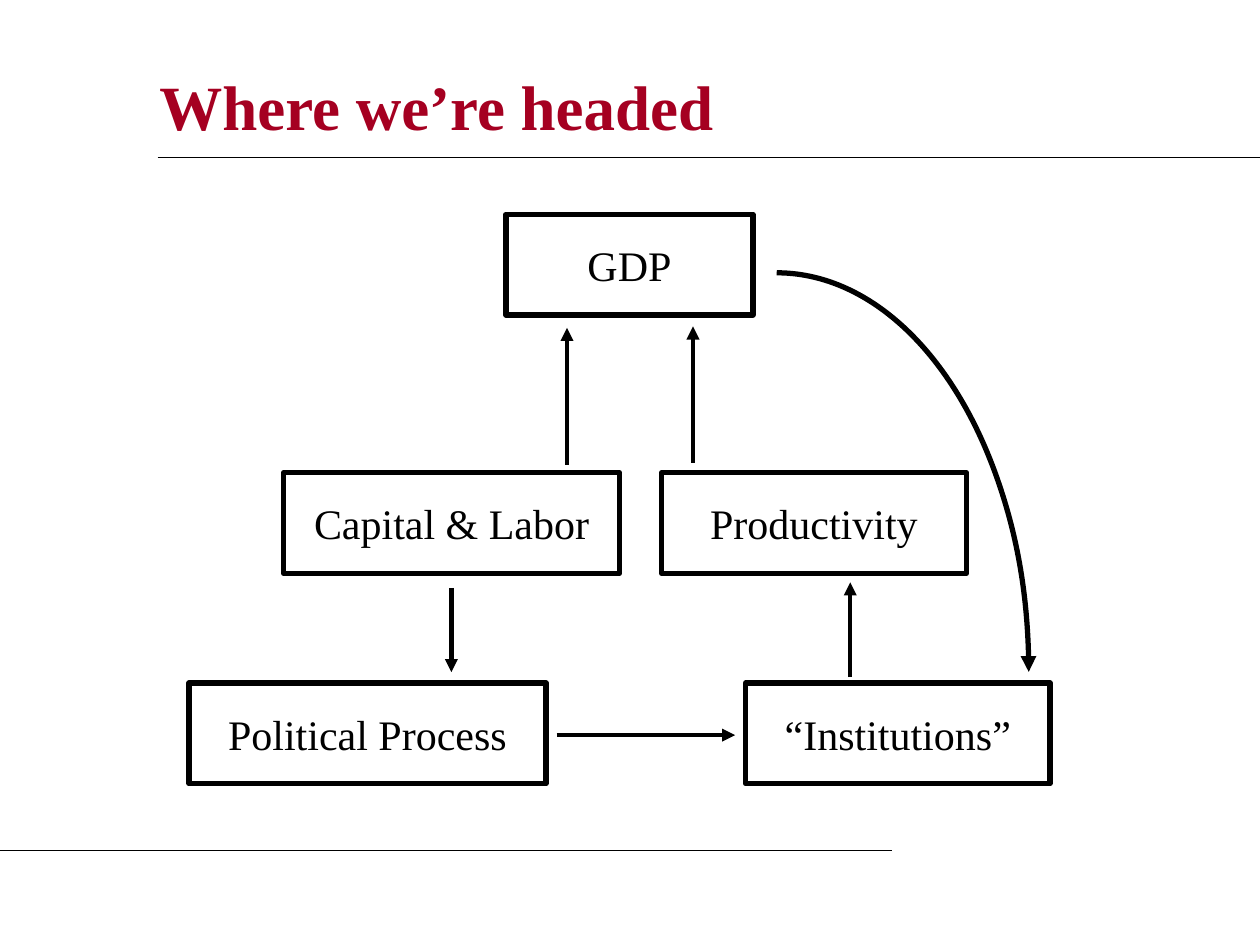
from lxml.etree import SubElement
from pptx import Presentation
from pptx.dml.color import RGBColor
from pptx.enum.shapes import MSO_CONNECTOR, MSO_SHAPE
from pptx.enum.text import MSO_ANCHOR, MSO_AUTO_SIZE, PP_ALIGN
from pptx.oxml.ns import qn
from pptx.util import Cm, Pt

BLACK = RGBColor(0x00, 0x00, 0x00)
CRIMSON = RGBColor(0xA5, 0x00, 0x21)


class DiagramSlide:
    font_name = "Times New Roman"
    box_height = 2.03
    box_inset = Cm(0.5)
    outline = 3
    arrow_width = 2.5
    rule_width = 0.75

    def __init__(self, slide):
        self.slide = slide

    def style_text(self, frame, text, size, color, align, bold=False):
        frame.text = text
        frame.word_wrap = True
        frame.auto_size = MSO_AUTO_SIZE.NONE
        frame.vertical_anchor = MSO_ANCHOR.MIDDLE
        paragraph = frame.paragraphs[0]
        paragraph.alignment = align
        font = paragraph.font
        font.name, font.size, font.bold = self.font_name, Pt(size), bold
        font.color.rgb = color

    def style_line(self, line, width, arrow=False):
        line.color.rgb = BLACK
        line.width = Pt(width)
        if arrow:
            SubElement(line._get_or_add_ln(), qn("a:tailEnd"), type="triangle")

    def title(self, text, left, top, width, height):
        heading = self.slide.shapes.title
        heading.left, heading.top = Cm(left), Cm(top)
        heading.width, heading.height = Cm(width), Cm(height)
        self.style_text(heading.text_frame, text, 36, CRIMSON, PP_ALIGN.LEFT, True)

    def shape(self, kind, left, top, width, height, arrow=False):
        outline = self.slide.shapes.add_shape(
            kind, Cm(left), Cm(top), Cm(width), Cm(height))
        outline.shadow.inherit = False
        outline.fill.background()
        self.style_line(outline.line, self.outline, arrow)
        return outline

    def box(self, text, left, top, width):
        frame = self.shape(
            MSO_SHAPE.RECTANGLE, left, top, width, self.box_height).text_frame
        frame.margin_left = frame.margin_right = self.box_inset
        frame.margin_top = frame.margin_bottom = self.box_inset
        self.style_text(frame, text, 24, BLACK, PP_ALIGN.CENTER)

    def line(self, x1, y1, x2, y2, width, arrow=False):
        connector = self.slide.shapes.add_connector(
            MSO_CONNECTOR.STRAIGHT, Cm(x1), Cm(y1), Cm(x2), Cm(y2))
        self.style_line(connector.line, width, arrow)
        SubElement(connector._element.spPr, qn("a:effectLst"))

    def rule(self, x1, x2, y):
        self.line(x1, y, x2, y, self.rule_width)

    def arrow(self, x1, y1, x2, y2):
        self.line(x1, y1, x2, y2, self.arrow_width, arrow=True)

    def curved_arrow(self, left, top, width, height):
        self.shape(MSO_SHAPE.ARC, left, top, width, height, arrow=True)


deck = Presentation()
deck.slide_width, deck.slide_height = Cm(25.4), Cm(19.05)
diagram = DiagramSlide(deck.slides.add_slide(deck.slide_layouts[5]))

# Title and page rules
diagram.title("Where we’re headed", 2.96, 1.06, 20.53, 2.12)
diagram.rule(3.18, 25.4, 3.18)
diagram.rule(0, 17.99, 17.14)

# Boxes, in three rows
OUTPUT_ROW, INPUT_ROW, POLITICS_ROW = 4.32, 9.53, 13.77
for label, left, row, width in (
    ("GDP", 10.2, OUTPUT_ROW, 4.98),
    ("Capital & Labor", 5.72, INPUT_ROW, 6.77),
    ("Productivity", 13.34, INPUT_ROW, 6.14),
    ("Political Process", 3.81, POLITICS_ROW, 7.2),
    ("“Institutions”", 15.03, POLITICS_ROW, 6.14),
):
    diagram.box(label, left, row, width)

# Arrows between the boxes
for ends in (
    (11.43, 9.37, 11.43, 6.61),     # capital and labor to GDP
    (13.97, 9.33, 13.97, 6.58),     # productivity to GDP
    (9.1, 11.85, 9.1, 13.55),       # capital and labor to politics
    (11.22, 14.82, 14.82, 14.82),   # politics to institutions
    (17.14, 13.65, 17.14, 11.74),   # institutions to productivity
):
    diagram.arrow(*ends)

# Feedback from GDP to institutions
diagram.curved_arrow(10.58, 5.5, 10.16, 16.09)

deck.save("out.pptx")
